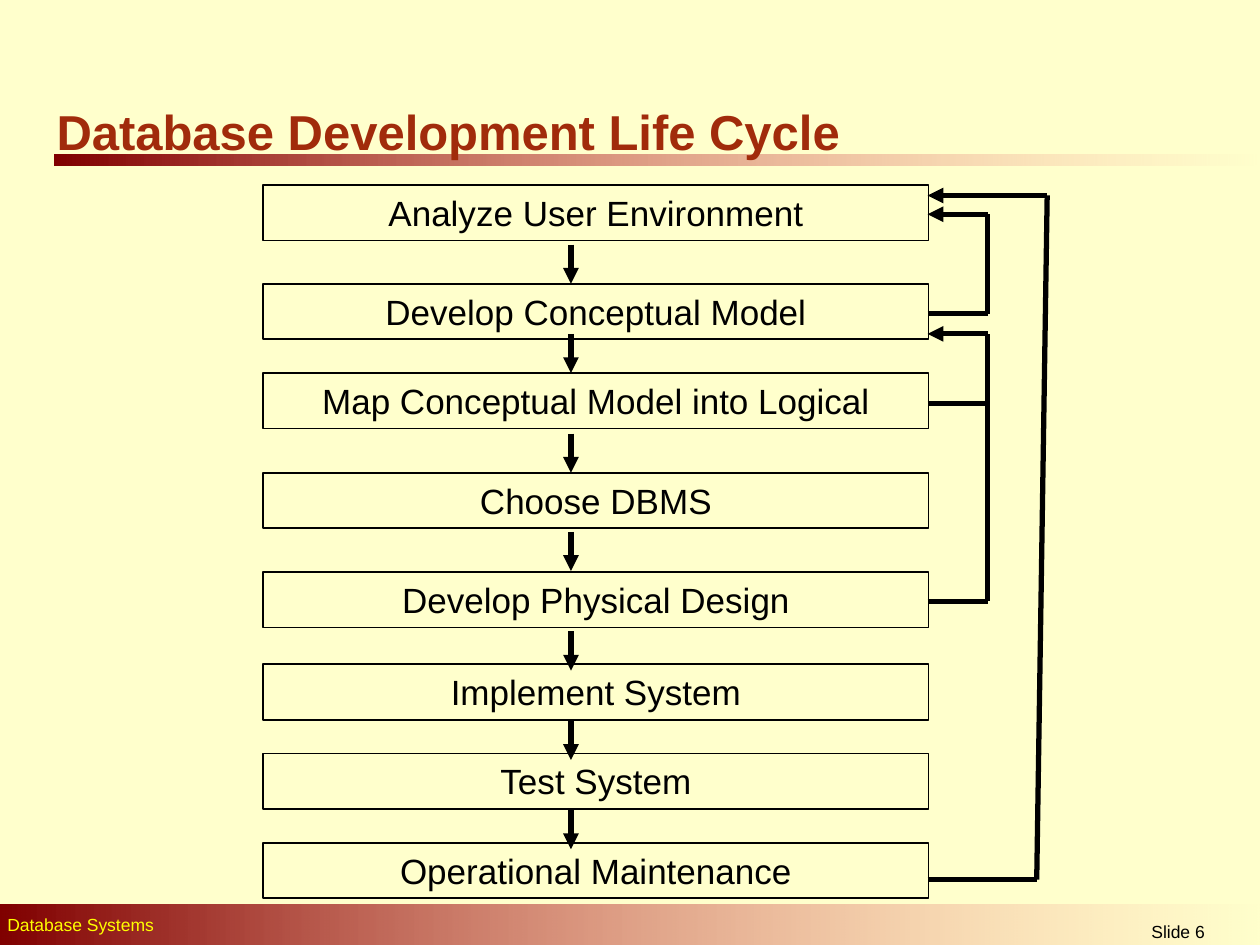
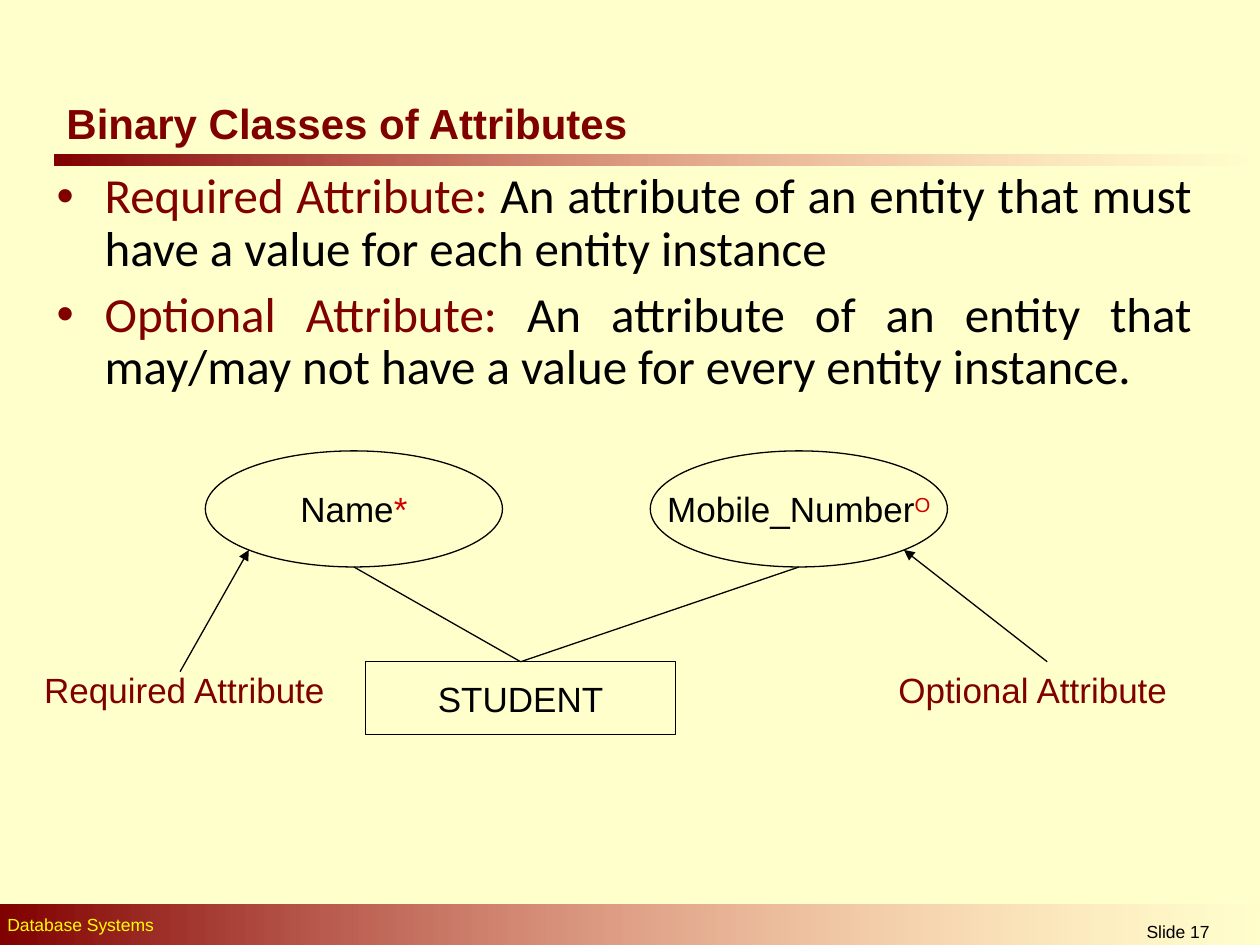
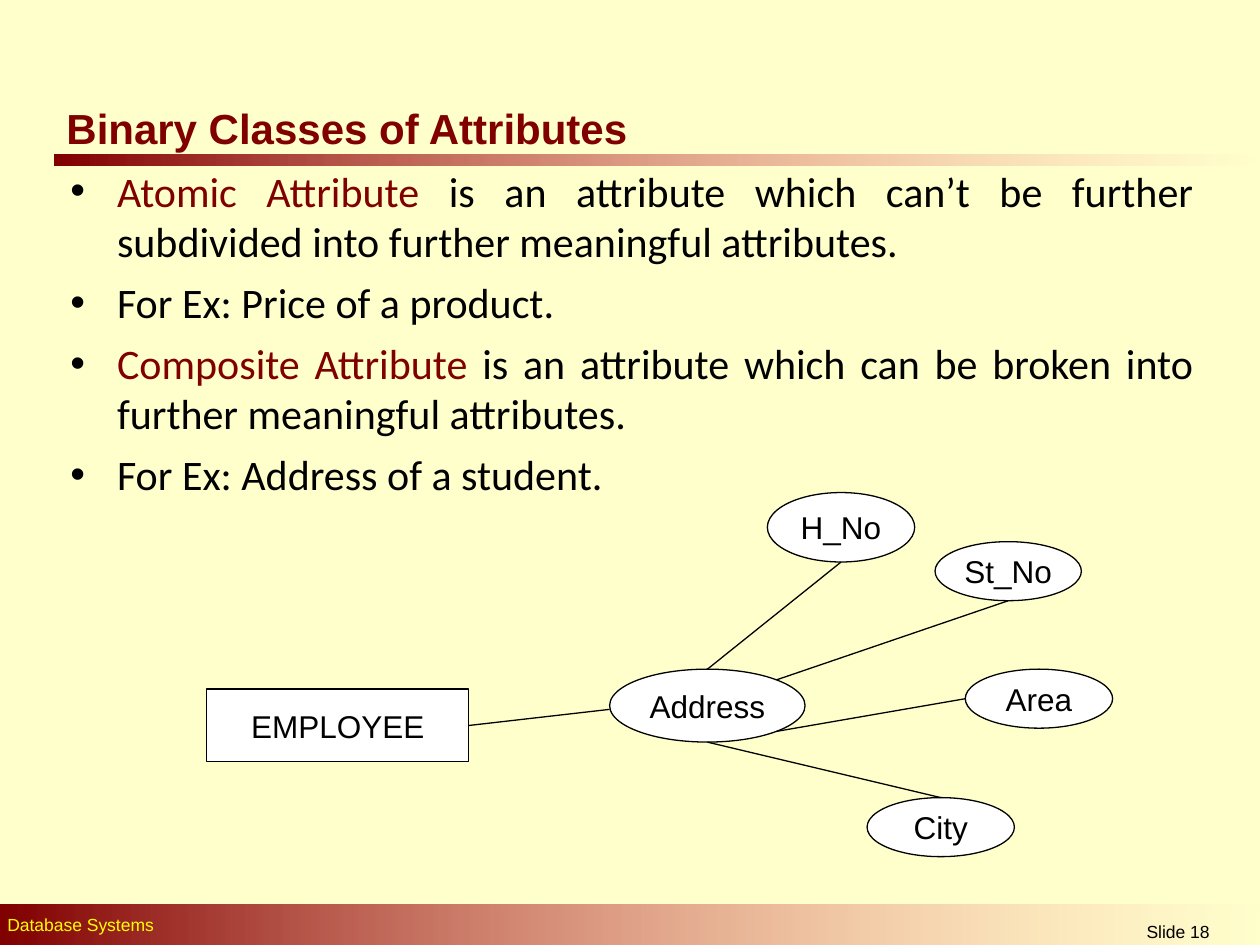
from dataclasses import dataclass
from typing import Any, NamedTuple, Optional, Sequence

from lxml import etree
from pptx import Presentation
from pptx.dml.color import RGBColor
from pptx.enum.shapes import MSO_CONNECTOR, MSO_SHAPE
from pptx.enum.text import MSO_ANCHOR, PP_ALIGN
from pptx.oxml.ns import qn
from pptx.shapes.autoshape import Shape
from pptx.slide import Slide
from pptx.util import Cm, Pt

RECTANGLE, ELLIPSE = MSO_SHAPE.RECTANGLE, MSO_SHAPE.OVAL
STRAIGHT = MSO_CONNECTOR.STRAIGHT
TOP, MIDDLE = MSO_ANCHOR.TOP, MSO_ANCHOR.MIDDLE
LEFT, CENTER, JUSTIFY = PP_ALIGN.LEFT, PP_ALIGN.CENTER, PP_ALIGN.JUSTIFY
BLANK_LAYOUT = 6


@dataclass(frozen=True)
class Theme:
    background: str = "FFFFCC"
    maroon: str = "800000"
    rust: str = "A12B0B"
    fade: str = "FF8585"
    yellow: str = "FFFF00"
    red: str = "CC0000"
    black: str = "000000"
    white: str = "FFFFFF"
    heading_font: str = "Arial"
    body_font: str = "Calibri"
    footer_size: float = 10
    small_node_size: float = 18
    node_size: float = 20
    title_size: float = 24
    large_size: float = 28
    thin_line: float = 0.75
    box_line: float = 1
    thick_line: float = 3


THEME = Theme()


class Point(NamedTuple):
    x: float
    y: float


class Box(NamedTuple):
    """A frame in centimetres."""
    left: float
    top: float
    width: float
    height: float

    def lengths(self) -> list[Cm]:
        return [Cm(value) for value in self]


@dataclass(frozen=True)
class Span:
    """A stretch of text in one style."""
    text: str
    color: str = THEME.black
    superscript: bool = False


@dataclass(frozen=True)
class TextStyle:
    size: float
    font: str = THEME.heading_font
    bold: bool = False
    align: PP_ALIGN = LEFT
    anchor: MSO_ANCHOR = TOP
    wrap: bool = True
    space_before: float = 0
    line_spacing: Optional[float] = None
    indent: float = 0
    bullet_color: Optional[str] = None


FOOTER = TextStyle(THEME.footer_size)
SLIDE_NUMBER = TextStyle(THEME.footer_size, align=CENTER)
TITLE = TextStyle(THEME.title_size, bold=True, anchor=MIDDLE)
LARGE_TITLE = TextStyle(THEME.large_size, bold=True, anchor=MIDDLE)
LABEL = TextStyle(THEME.node_size)
STEP = TextStyle(THEME.node_size, align=CENTER)
NODE = TextStyle(THEME.node_size, align=CENTER, anchor=MIDDLE, wrap=False)
SMALL_NODE = TextStyle(THEME.small_node_size, align=CENTER, anchor=MIDDLE, wrap=False)
LARGE_BULLETS = TextStyle(
    THEME.large_size, THEME.body_font, align=JUSTIFY, space_before=7,
    line_spacing=0.9, indent=0.97, bullet_color=THEME.maroon)
BULLETS = TextStyle(
    THEME.title_size, THEME.body_font, align=JUSTIFY, space_before=6,
    indent=0.94, bullet_color=THEME.black)

DIAGONAL = 0.3536
ANCHORS = {
    "top": (0.5, 0), "bottom": (0.5, 1), "left": (0, 0.5), "right": (1, 0.5),
    "top right": (0.5 + DIAGONAL, 0.5 - DIAGONAL),
    "bottom left": (0.5 - DIAGONAL, 0.5 + DIAGONAL),
    "bottom right": (0.5 + DIAGONAL, 0.5 + DIAGONAL),
}


@dataclass(frozen=True)
class Node:
    """An entity or attribute of a diagram."""
    spans: Sequence[Span]
    box: Box
    kind: MSO_SHAPE = ELLIPSE

    def anchor(self, side: str) -> Point:
        across, down = ANCHORS[side]
        return Point(self.box.left + across * self.box.width,
                     self.box.top + down * self.box.height)


class Step(NamedTuple):
    text: str
    top: float
    arrow_top: Optional[float]


def apply_format(target: Any, values: dict[str, Any]) -> None:
    for name, value in values.items():
        setattr(target, name, value)


def add_bullet(paragraph: Any, style: TextStyle) -> None:
    properties = paragraph._p.get_or_add_pPr()
    properties.set("marL", str(Cm(style.indent)))
    properties.set("indent", str(-Cm(style.indent)))
    color = etree.SubElement(properties, qn("a:buClr"))
    etree.SubElement(color, qn("a:srgbClr"), val=style.bullet_color)
    etree.SubElement(properties, qn("a:buFont"), typeface=THEME.heading_font)
    etree.SubElement(properties, qn("a:buChar"), char="•")


def write_text(shape: Shape, paragraphs: Sequence[Sequence[Span]], style: TextStyle) -> None:
    frame = shape.text_frame
    apply_format(frame, {
        "word_wrap": style.wrap, "vertical_anchor": style.anchor,
        "margin_left": Cm(0.25), "margin_right": Cm(0.25),
        "margin_top": Cm(0.13), "margin_bottom": Cm(0.13),
    })
    for index, spans in enumerate(paragraphs):
        paragraph = frame.add_paragraph() if index else frame.paragraphs[0]
        apply_format(paragraph, {
            "alignment": style.align, "space_before": Pt(style.space_before),
            "line_spacing": style.line_spacing,
        })
        if style.bullet_color:
            add_bullet(paragraph, style)
        for span in spans:
            run = paragraph.add_run()
            run.text = span.text
            apply_format(run.font, {
                "name": style.font, "size": Pt(style.size), "bold": style.bold})
            run.font.color.rgb = RGBColor.from_string(span.color)
            if span.superscript:
                run._r.get_or_add_rPr().set("baseline", "30000")


def add_text(slide: Slide, box: Box, paragraphs: Sequence[Sequence[Span]],
             style: TextStyle) -> None:
    write_text(slide.shapes.add_textbox(*box.lengths()), paragraphs, style)


def add_band(slide: Slide, box: Box) -> None:
    """Draw a bar that fades out to the right."""
    band = slide.shapes.add_shape(RECTANGLE, *box.lengths())
    band.shadow.inherit = False
    band.line.fill.background()
    band.fill.gradient()
    band.fill.gradient_angle = 0
    for stop, color in zip(band.fill.gradient_stops, (THEME.maroon, THEME.fade)):
        stop.color.rgb = RGBColor.from_string(color)
    last_color = list(band._element.spPr.iter(qn("a:srgbClr")))[-1]
    etree.SubElement(last_color, qn("a:alpha"), val="0")


def add_node(slide: Slide, node: Node, style: TextStyle, fill: Optional[str] = None,
             line_width: float = THEME.thin_line) -> None:
    shape = slide.shapes.add_shape(node.kind, *node.box.lengths())
    shape.shadow.inherit = False
    if fill:
        shape.fill.solid()
        shape.fill.fore_color.rgb = RGBColor.from_string(fill)
    else:
        shape.fill.background()
    shape.line.color.rgb = RGBColor.from_string(THEME.black)
    shape.line.width = Pt(line_width)
    write_text(shape, [node.spans], style)


def add_line(slide: Slide, start: Point, end: Point, width: float = THEME.thin_line,
             arrow: bool = False) -> None:
    connector = slide.shapes.add_connector(
        STRAIGHT, *(Cm(value) for value in (*start, *end)))
    connector.line.color.rgb = RGBColor.from_string(THEME.black)
    connector.line.width = Pt(width)
    properties = connector._element.spPr
    if arrow:
        etree.SubElement(properties.find(qn("a:ln")), qn("a:tailEnd"), type="triangle")
    etree.SubElement(properties, qn("a:effectLst"))


def add_route(slide: Slide, points: Sequence[Point], arrow: bool = True) -> None:
    """Join the points with thick lines, with an arrowhead at the last one."""
    for start, end in zip(points, points[1:]):
        add_line(slide, start, end, THEME.thick_line, arrow and end is points[-1])


def start_slide(presentation: Any, number: int, title: str, title_box: Box,
                style: TextStyle = TITLE, color: str = THEME.maroon) -> Slide:
    slide = presentation.slides.add_slide(presentation.slide_layouts[BLANK_LAYOUT])
    slide.background.fill.solid()
    slide.background.fill.fore_color.rgb = RGBColor.from_string(THEME.background)
    add_band(slide, Box(1.09, 3.12, 24.31, 0.21))
    add_band(slide, Box(0, 18.24, 25.48, 0.89))
    add_text(slide, Box(-0.1, 18.29, 16.41, 0.69),
             [[Span("Database Systems", THEME.yellow)]], FOOTER)
    add_text(slide, Box(21.11, 18.44, 5.28, 0.61), [[Span(f"Slide {number}")]], SLIDE_NUMBER)
    add_text(slide, title_box, [[Span(title, color)]], style)
    return slide


def build_life_cycle(presentation: Any) -> None:
    slide = start_slide(presentation, 6, "Database Development Life Cycle",
                        Box(0.89, 1.93, 19.61, 1.4), LARGE_TITLE, THEME.rust)
    steps = [
        Step("Analyze User Environment", 3.73, 4.93),
        Step("Develop Conceptual Model", 5.72, 6.73),
        Step("Map Conceptual Model into Logical", 7.52, 8.74),
        Step("Choose DBMS", 9.53, 10.72),
        Step("Develop Physical Design", 11.53, 12.73),
        Step("Implement System", 13.39, 14.53),
        Step("Test System", 15.19, 16.33),
        Step("Operational Maintenance", 16.99, None),
    ]
    for step in steps:
        box = Box(5.31, step.top, 13.41, 1.12)
        add_node(slide, Node([Span(step.text)], box, RECTANGLE), STEP,
                 line_width=THEME.box_line)
    arrow_x, arrow_length = 11.51, 0.79
    for step in steps:
        if step.arrow_top is not None:
            add_route(slide, [Point(arrow_x, step.arrow_top),
                              Point(arrow_x, step.arrow_top + arrow_length)])

    box_edge, inner, outer_low, outer_high = 18.7, 19.91, 20.9, 21.11
    for start_y, end_y, low_x, high_x in (
        (6.32, 4.32, inner, inner),
        (12.12, 6.73, inner, inner),
        (17.73, 3.94, outer_low, outer_high),
    ):
        add_route(slide, [Point(box_edge, start_y), Point(low_x, start_y),
                          Point(high_x, end_y), Point(box_edge, end_y)])
    add_route(slide, [Point(box_edge, 8.13), Point(inner, 8.13)], arrow=False)


def build_required_and_optional(presentation: Any) -> None:
    slide = start_slide(presentation, 17, "Binary Classes of Attributes",
                        Box(1.09, 1.93, 13.61, 1.07))
    add_text(slide, Box(0.89, 3.33, 23.39, 5.18), [
        [Span("Required Attribute:", THEME.maroon),
         Span(" An attribute of an entity that must have a value for each entity instance")],
        [Span("Optional Attribute:", THEME.maroon),
         Span(" An attribute of an entity that may/may not have a value"
              " for every entity instance.")],
    ], LARGE_BULLETS)

    student = Node([Span("STUDENT")], Box(7.37, 13.34, 6.25, 1.47), RECTANGLE)
    name = Node([Span("Name"), Span("*", THEME.red)], Box(4.14, 9.09, 5.99, 2.34))
    mobile = Node([Span("Mobile_Number"), Span("O", THEME.red, superscript=True)],
                  Box(13.11, 9.09, 5.99, 2.34))
    for node in (student, name, mobile):
        add_node(slide, node, NODE)
    for attribute in (name, mobile):
        add_line(slide, student.anchor("top"), attribute.anchor("bottom"))
    for text, left, start, end in (
        ("Required Attribute", 0.64, Point(3.63, 13.54), name.anchor("bottom left")),
        ("Optional Attribute", 17.86, Point(21.11, 13.34), mobile.anchor("bottom right")),
    ):
        add_text(slide, Box(left, 13.34, 6.48, 1.12), [[Span(text, THEME.maroon)]], LABEL)
        add_line(slide, start, end, arrow=True)


def build_atomic_and_composite(presentation: Any) -> None:
    slide = start_slide(presentation, 18, "Binary Classes of Attributes",
                        Box(1.09, 1.93, 13.18, 1.27))
    add_text(slide, Box(1.17, 3.2, 23.14, 14.12), [
        [Span("Atomic Attribute", THEME.maroon),
         Span(" is an attribute which can’t be further subdivided"
              " into further meaningful attributes.")],
        [Span("For Ex: Price of a product.")],
        [Span("Composite Attribute", THEME.maroon),
         Span(" is an attribute which can be broken into further meaningful attributes.")],
        [Span("For Ex: Address of a student.")],
    ], BULLETS)

    employee = Node([Span("EMPLOYEE")], Box(4.17, 13.89, 5.28, 1.47), RECTANGLE)
    address = Node([Span("Address")], Box(12.29, 13.49, 3.94, 1.47))
    house = Node([Span("H_No")], Box(15.47, 9.93, 2.97, 1.4))
    street = Node([Span("St_No")], Box(18.85, 10.92, 2.95, 1.19))
    area = Node([Span("Area")], Box(19.46, 13.49, 2.97, 1.19))
    city = Node([Span("City")], Box(17.48, 16.08, 2.97, 1.19))
    for node in (employee, address, house, street, area, city):
        add_node(slide, node, SMALL_NODE, THEME.white)
    add_line(slide, Point(address.box.left, 14.3), employee.anchor("right"))
    for part, part_side, address_side in (
        (house, "bottom", "top"),
        (street, "bottom", "top right"),
        (area, "left", "bottom right"),
        (city, "top", "bottom"),
    ):
        add_line(slide, part.anchor(part_side), address.anchor(address_side))


def main() -> None:
    presentation = Presentation()
    apply_format(presentation, {"slide_width": Cm(25.4), "slide_height": Cm(19.05)})
    build_life_cycle(presentation)
    build_required_and_optional(presentation)
    build_atomic_and_composite(presentation)
    presentation.save("out.pptx")


if __name__ == "__main__":
    main()
